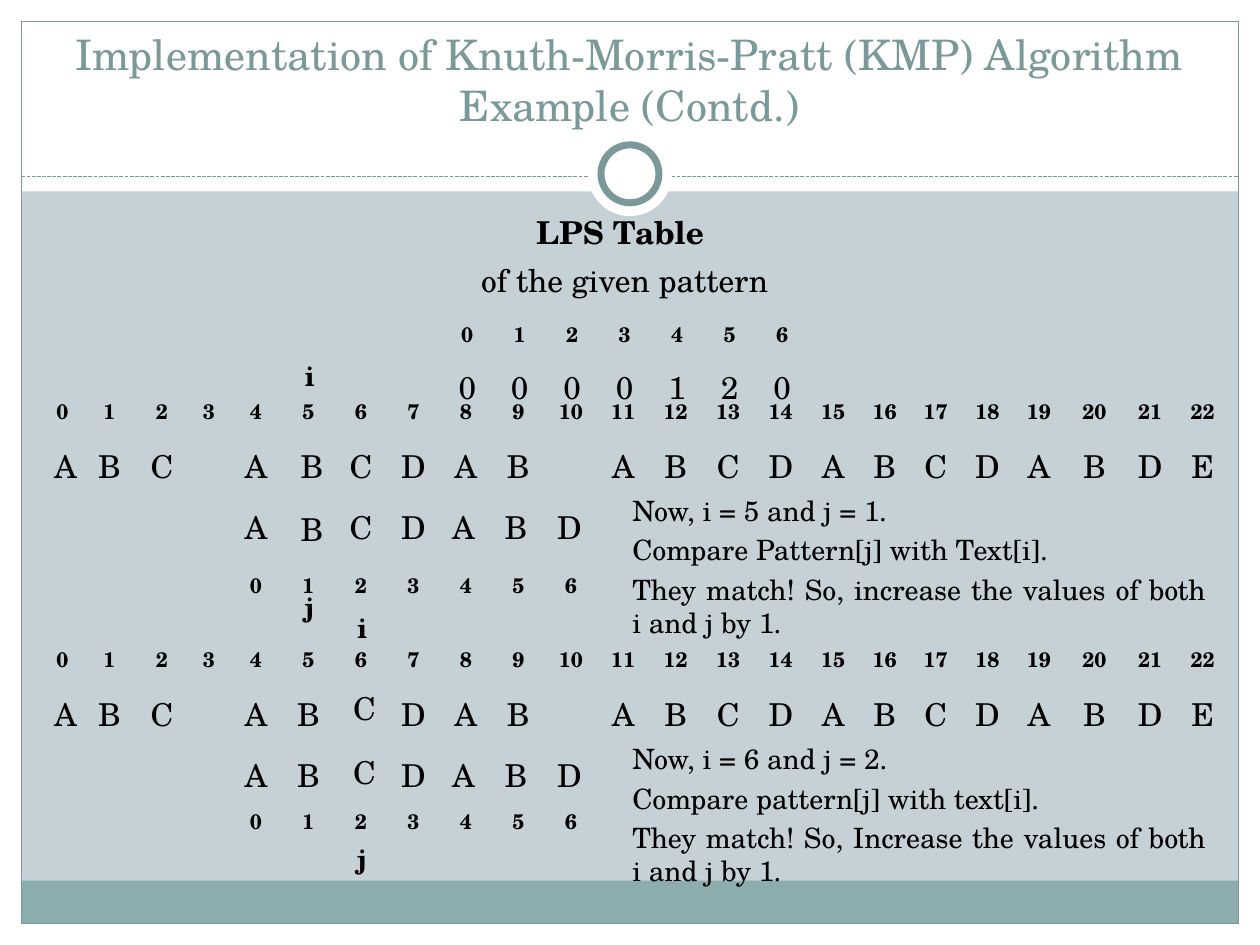
import pptx
import pptx.dml.color
import pptx.enum.dml
import pptx.enum.shapes
import pptx.enum.text
import pptx.oxml
import pptx.oxml.ns
import pptx.util

Inches = pptx.util.Inches
Pt = pptx.util.Pt
RGBColor = pptx.dml.color.RGBColor
Shape = pptx.enum.shapes.MSO_SHAPE
Align = pptx.enum.text.PP_ALIGN
Anchor = pptx.enum.text.MSO_ANCHOR

FONT = "TeX Gyre Schola"
BLACK = RGBColor(0x00, 0x00, 0x00)
WHITE = RGBColor(0xFF, 0xFF, 0xFF)
PALE_BLUE = RGBColor(0xC5, 0xD1, 0xD7)
TEAL = RGBColor(0x7C, 0x99, 0x9A)
FOOTER_TEAL = RGBColor(0x8C, 0xAD, 0xAE)
NO_GRID_STYLE = "{2D5ABB26-0587-4C30-8999-92F81FD0307C}"

TEXT = "ABC ABCDAB ABCDABCDABDE"
PATTERN = "ABCDABD"
LPS = [0, 0, 0, 0, 1, 2, 0]
PATTERN_START = 4
CELL = 5 / 12
TEXT_COLUMNS = [0.33, CELL, CELL, 0.33] + [CELL] * 12 + [0.4, 0.41, 0.41, 0.41, 0.47, CELL, CELL]


def format_paragraph(paragraph, size, bold=False, color=BLACK, align=Align.LEFT):
    paragraph.alignment = align
    for run in paragraph.runs:
        run.font.name = FONT
        run.font.size = Pt(size)
        run.font.bold = bold
        run.font.color.rgb = color


def add_block(slide, geometry, left, top, width, height, fill=None, line=None, line_width=0.75):
    shape = slide.shapes.add_shape(geometry, Inches(left), Inches(top), Inches(width), Inches(height))
    shape.shadow.inherit = False
    if fill is None:
        shape.fill.background()
    else:
        shape.fill.solid()
        shape.fill.fore_color.rgb = fill
    if line is None:
        shape.line.fill.background()
    else:
        shape.line.color.rgb = line
        shape.line.width = Pt(line_width)


def add_frame(slide, width, height):
    """Draw the white margins, footer band, border and ring divider."""
    margin, header, divider = 0.17, 1.52, 1.4
    right, bottom = width - margin, height - margin
    for box in [(0, bottom, width, margin), (0, 0, width, header),
                (0, 0, margin, height), (right, 0, margin, height)]:
        add_block(slide, Shape.RECTANGLE, *box, fill=WHITE)
    inner = width - 2 * margin
    add_block(slide, Shape.RECTANGLE, margin, bottom - 0.34, inner, 0.34, fill=FOOTER_TEAL)
    add_block(slide, Shape.RECTANGLE, margin, margin, inner, height - 2 * margin, line=TEAL)

    rule = slide.shapes.add_connector(pptx.enum.shapes.MSO_CONNECTOR.STRAIGHT, Inches(margin),
                                      Inches(divider), Inches(right), Inches(divider))
    rule.line.color.rgb = TEAL
    rule.line.width = Pt(0.75)
    rule.line.dash_style = pptx.enum.dml.MSO_LINE.SQUARE_DOT
    rule.element.spPr.append(pptx.oxml.parse_xml(
        "<a:effectLst %s/>" % pptx.oxml.ns.nsdecls("a")))

    for size, line in [(0.67, None), (0.46, TEAL)]:
        add_block(slide, Shape.OVAL, (width - size) / 2, 1.38 - size / 2, size, size,
                  fill=WHITE, line=line, line_width=4)


def place_title(slide, left, top, width, height):
    title = slide.shapes.title
    title.left, title.top = Inches(left), Inches(top)
    title.width, title.height = Inches(width), Inches(height)
    frame = title.text_frame
    frame.text = "Implementation of Knuth-Morris-Pratt (KMP) Algorithm\vExample (Contd.)"
    frame.vertical_anchor = Anchor.BOTTOM
    frame.word_wrap = True
    format_paragraph(frame.paragraphs[0], 24, color=TEAL, align=Align.CENTER)
    title.element.getparent().append(title.element)  # in front of the frame


def add_plain_table(slide, left, top, columns, rows):
    """Add a table without grid or fill, its empty cells set in small type."""
    graphic = slide.shapes.add_table(len(rows), len(columns), Inches(left), Inches(top),
                                     Inches(sum(columns)), Inches(sum(rows)))
    graphic.element.find(".//" + pptx.oxml.ns.qn("a:tableStyleId")).text = NO_GRID_STYLE
    table = graphic.table
    table.first_row = table.horz_banding = False
    for column, width in zip(table.columns, columns):
        column.width = Inches(width)
    for row, height in zip(table.rows, rows):
        row.height = Inches(height)
    for cell in table.iter_cells():
        cell.fill.background()
        cell.vertical_anchor = Anchor.MIDDLE
        paragraph = cell.text_frame.paragraphs[0]
        paragraph._p.append(pptx.oxml.parse_xml(
            '<a:endParaRPr sz="1200" %s/>' % pptx.oxml.ns.nsdecls("a")))
    return table


def fill_row(table, row, values, size, bold=False, start=0, skip=None, left_from=None):
    """Write values from column start; skip leaves a column empty."""
    for column, value in enumerate(values, start):
        if column == skip or value == " ":
            continue
        paragraph = table.cell(row, column).text_frame.paragraphs[0]
        paragraph.add_run().text = str(value)
        is_left = left_from is not None and column >= left_from
        format_paragraph(paragraph, size, bold, align=Align.LEFT if is_left else Align.CENTER)


def add_lps_table(slide, left, top):
    table = add_plain_table(slide, left, top, [CELL] * len(LPS), [0.89, 0.35, 0.48])
    heading = table.cell(0, 0)
    heading.merge(table.cell(0, len(LPS) - 1))
    heading.text_frame.text = "LPS Table \nof the given pattern"
    name, note = heading.text_frame.paragraphs
    format_paragraph(name, 18, True, align=Align.CENTER)
    format_paragraph(note, 18, align=Align.CENTER)
    fill_row(table, 1, range(len(LPS)), 12, True)
    fill_row(table, 2, LPS, 18)


def add_letter(slide, letter, left, top, width, height, size, bold=False):
    box = slide.shapes.add_textbox(Inches(left), Inches(top), Inches(width), Inches(height))
    box.text_frame.text = letter
    box.text_frame.word_wrap = False
    format_paragraph(box.text_frame.paragraphs[0], size, bold)


def add_explanation(slide, lines, left, top, width, height):
    box = slide.shapes.add_textbox(Inches(left), Inches(top), Inches(width), Inches(height))
    box.text_frame.word_wrap = True
    box.text_frame.text = "\n".join(lines)
    for paragraph in box.text_frame.paragraphs:
        paragraph.space_before = Pt(3.2)
        format_paragraph(paragraph, 16, align=Align.JUSTIFY)


def add_step(slide, left, top, i, index_height, pointer_tops, letter_tops, explanation):
    """Show one comparison: text, aligned pattern, the i and j marks and the note.

    The compared letters stand in their own boxes over the table.
    """
    table = add_plain_table(slide, left, top, TEXT_COLUMNS, [0.37, 0.5, 0.46, index_height])
    fill_row(table, 0, range(len(TEXT)), 12, True)
    fill_row(table, 1, TEXT, 18, skip=i)
    fill_row(table, 2, PATTERN, 18, start=PATTERN_START, skip=i, left_from=8)
    fill_row(table, 3, range(len(PATTERN)), 12, True, start=PATTERN_START)
    for cell in table.rows[3].cells:
        cell.margin_top = cell.margin_bottom = 0

    center = left + sum(TEXT_COLUMNS[:i]) + CELL / 2
    for mark, offset in zip("ij", pointer_tops):
        add_letter(slide, mark, center - 0.13, top + offset, 0.28, 0.37, 16, True)
    for offset in letter_tops:
        add_letter(slide, TEXT[i], center - 0.16, top + offset, 0.37, 0.4, 18)
    add_explanation(slide, explanation, left + 4.59, top + 0.79, 4.75, 1.2)


def main():
    presentation = pptx.Presentation()
    presentation.slide_width, presentation.slide_height = Inches(10), Inches(7.5)
    slide = presentation.slides.add_slide(presentation.slide_layouts[5])
    slide.background.fill.solid()
    slide.background.fill.fore_color.rgb = PALE_BLUE

    add_frame(slide, 10, 7.5)
    place_title(slide, 0.33, 0.25, 9.33, 0.83)
    add_lps_table(slide, 3.5, 1.58)
    add_step(slide, 0.33, 3.08, 5, 0.46, (-0.28, 1.55), (0.42, 0.92), [
        "Now, i = 5 and j = 1.",
        "Compare Pattern[j] with Text[i].",
        "They match! So, increase the values of both i and j by 1."])
    add_step(slide, 0.33, 5.05, 6, 0.28, (-0.25, 1.58), (0.37, 0.88), [
        "Now, i = 6 and j = 2.",
        "Compare pattern[j] with text[i].",
        "They match! So, Increase the values of both i and j by 1."])
    presentation.save("out.pptx")


if __name__ == "__main__":
    main()
